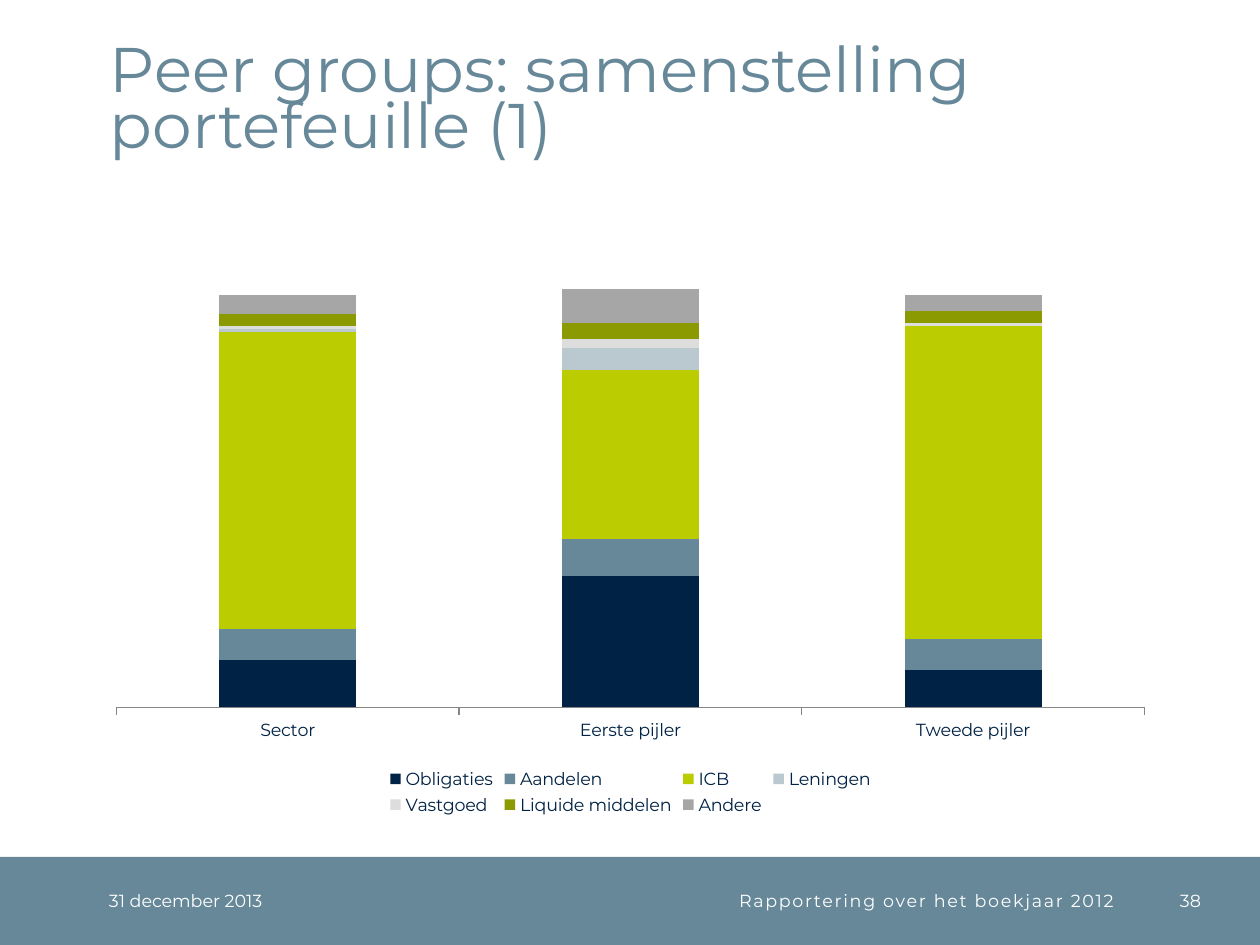
from lxml.etree import SubElement
from pptx import Presentation
from pptx.chart.data import CategoryChartData
from pptx.dml.color import RGBColor
from pptx.enum.chart import XL_CHART_TYPE, XL_LEGEND_POSITION, XL_TICK_LABEL_POSITION, XL_TICK_MARK
from pptx.enum.shapes import MSO_SHAPE
from pptx.enum.text import MSO_ANCHOR, MSO_AUTO_SIZE, PP_ALIGN
from pptx.oxml.ns import qn
from pptx.util import Pt

PX = 914400 // 126  # slide lengths are in px, 126 to the inch
FONT = "Montserrat"
NAVY, SLATE, WHITE = "002244", "668899", "FFFFFF"


def style_text(shape, size, color, anchor, align=PP_ALIGN.LEFT):
    frame = shape.text_frame
    frame.word_wrap = True
    frame.auto_size = MSO_AUTO_SIZE.NONE
    frame.vertical_anchor = anchor
    frame.margin_left = frame.margin_right = frame.margin_top = frame.margin_bottom = 0
    paragraph = frame.paragraphs[0]
    paragraph.alignment = align
    font = paragraph.runs[0].font
    font.name, font.size = FONT, Pt(size)
    font.color.rgb = RGBColor.from_string(color)
    return paragraph


def set_layout(element, index, fractions, inner=False):
    for old in element.findall(qn("c:layout")):
        element.remove(old)
    layout = SubElement(element, qn("c:layout"))
    element.insert(index, layout)
    manual = SubElement(layout, qn("c:manualLayout"))
    settings = [("layoutTarget", "inner")] if inner else []
    settings += [("xMode", "edge"), ("yMode", "edge"), *zip("xywh", fractions)]
    for tag, value in settings:
        SubElement(manual, qn(f"c:{tag}")).set("val", str(value))


presentation = Presentation()
presentation.slide_width, presentation.slide_height = 1260 * PX, 945 * PX
slide = presentation.slides.add_slide(presentation.slide_layouts[5])

# Title
title = slide.shapes.title
title.left, title.top, title.width, title.height = 110 * PX, 25 * PX, 1087 * PX, 136 * PX
title.text_frame.text = "Peer groups: samenstelling portefeuille (1)"
style_text(title, 36, SLATE, MSO_ANCHOR.BOTTOM).line_spacing = Pt(32)

# Footer band with date, report name and page number
band = slide.shapes.add_shape(MSO_SHAPE.RECTANGLE, 0, 857 * PX, 1260 * PX, 88 * PX)
band.shadow.inherit = False
band.fill.solid()
band.fill.fore_color.rgb = RGBColor.from_string(SLATE)
band.line.fill.background()

footers = [
    ("31 december 2013", 109, 223, PP_ALIGN.LEFT, 0),
    ("Rapportering over het boekjaar 2012", 333, 781, PP_ALIGN.RIGHT, 100),
    ("38", 1139, 62, PP_ALIGN.RIGHT, 0),
]
for text, left, width, align, spacing in footers:
    box = slide.shapes.add_textbox(left * PX, 857 * PX, width * PX, 88 * PX)
    box.text_frame.text = text
    paragraph = style_text(box, 10, WHITE, MSO_ANCHOR.MIDDLE, align)
    if spacing:
        paragraph.runs[0].font._element.set("spc", str(spacing))

# Portfolio composition chart
portfolio = [
    ("Obligaties", (15, 42, 12), NAVY),
    ("Aandelen", (10, 12, 10), SLATE),
    ("ICB", (95, 54, 100), "BBCC00"),
    ("Leningen", (1, 7, 0), "BAC9D0"),
    ("Vastgoed", (1, 3, 1), "DDDDDD"),
    ("Liquide middelen", (4, 5, 4), "8B9A00"),
    ("Andere", (6, 11, 5), "A6A6A6"),
]
chart_data = CategoryChartData()
chart_data.categories = ["Sector", "Eerste pijler", "Tweede pijler"]
for name, values, color in portfolio:
    chart_data.add_series(name, values)
chart = slide.shapes.add_chart(
    XL_CHART_TYPE.COLUMN_STACKED, 95 * PX, 195 * PX, 1071 * PX, 625 * PX, chart_data
).chart
chart.has_title = False
chart.font.name, chart.font.size = FONT, Pt(10)
chart.font.color.rgb = RGBColor.from_string(NAVY)

plot = chart.plots[0]
plot.gap_width, plot.overlap = 150, 100
plot.vary_by_categories = False
for series, (name, values, color) in zip(plot.series, portfolio):
    series.format.fill.solid()
    series.format.fill.fore_color.rgb = RGBColor.from_string(color)

# Axes
value_axis = chart.value_axis
value_axis.visible = False
value_axis.has_major_gridlines = False
value_axis.minimum_scale, value_axis.maximum_scale = 0, 160
value_axis.tick_labels.number_format = "0.00%"
value_axis.tick_labels.number_format_is_linked = False
category_axis = chart.category_axis
category_axis.major_tick_mark = XL_TICK_MARK.OUTSIDE
category_axis.tick_label_position = XL_TICK_LABEL_POSITION.LOW
category_axis.format.line.color.rgb = RGBColor.from_string("868686")
category_axis.format.line.width = Pt(0.75)

# Legend and plot placement, as fractions of the chart
chart.has_legend = True
legend = chart.legend
legend.position = XL_LEGEND_POSITION.BOTTOM
legend.include_in_layout = False
set_layout(legend._element, 1, (0.27, 0.91, 0.46, 0.09))
set_layout(plot._element.getparent(), 0, (0.02, 0.02, 0.96, 0.8), inner=True)

presentation.save("out.pptx")
